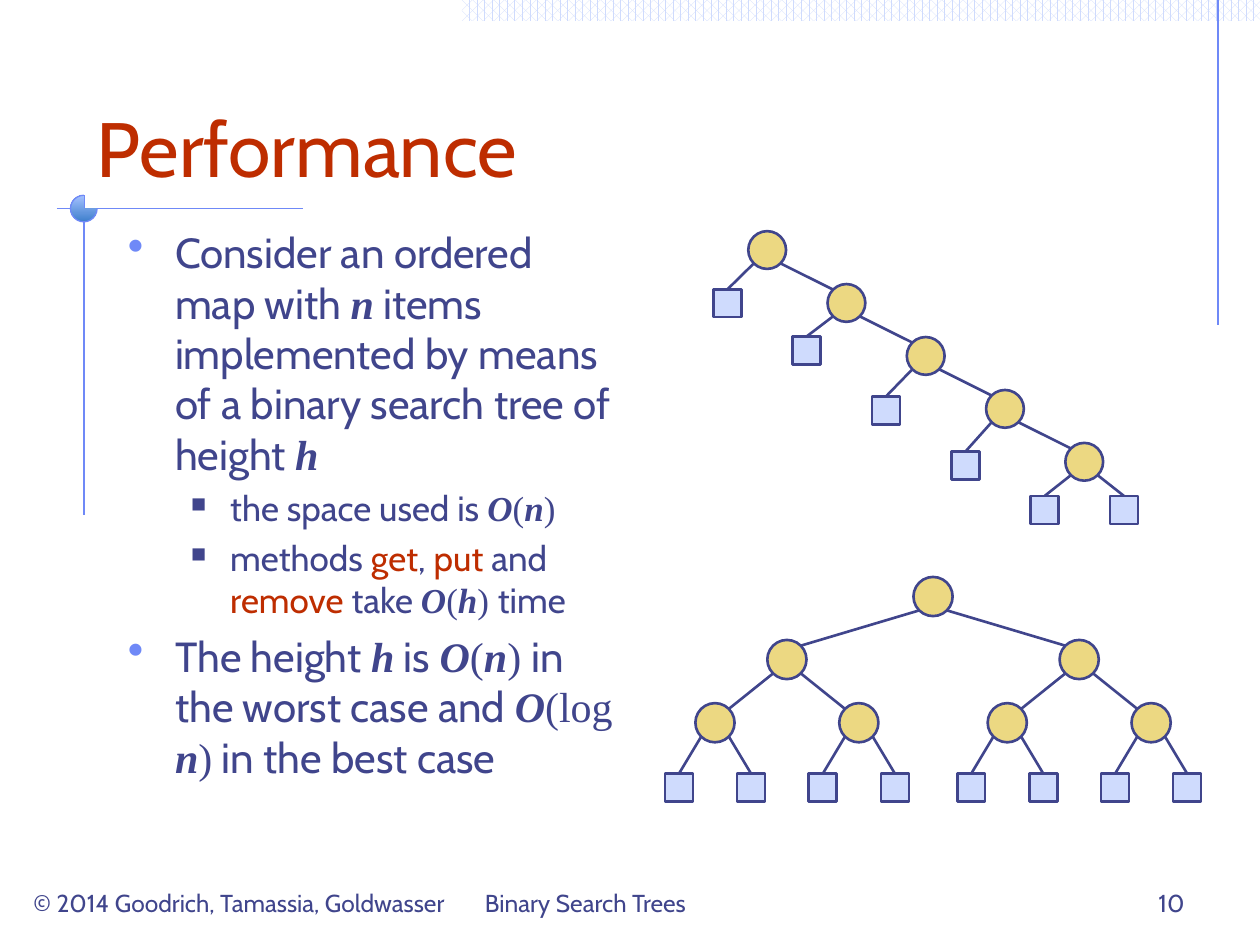
"""Build a slide on the performance of binary search trees, with two tree diagrams."""
import math

import lxml.etree
import pptx
import pptx.dml.color
import pptx.enum.dml
import pptx.enum.shapes
import pptx.enum.text
import pptx.oxml.ns
import pptx.util

Pt = pptx.util.Pt
SHAPE = pptx.enum.shapes.MSO_SHAPE
ALIGN = pptx.enum.text.PP_ALIGN
ANCHOR = pptx.enum.text.MSO_ANCHOR

COLORS = {"text": "40458C", "accent": "BE2D00", "rule": "6F89F7",
          "node": "ECD882", "leaf": "CFDBFD", "white": "FFFFFF"}
STYLES = {
    "plain": ("Cabin", False, "text"),
    "keyword": ("Cabin", False, "accent"),
    "math": ("Times New Roman", False, "text"),
    "var": ("Times New Roman", True, "text"),
}
LEVELS = [
    {"size": 24, "left": 27, "hang": 27, "char": "•", "color": "rule", "scale": 110},
    {"size": 20, "left": 58.5, "hang": 22.5, "char": "■", "color": "text", "scale": 60},
]
TITLE = "Performance"
BODY = [
    (0, [("Consider an ordered map with ", "plain"), ("n", "var"),
         (" items implemented by means of a binary search tree of height ", "plain"),
         ("h", "var")]),
    (1, [("the space used is ", "plain"), ("O", "var"), ("(", "math"),
         ("n", "var"), (")", "math")]),
    (1, [("methods ", "plain"), ("get", "keyword"), (", ", "plain"),
         ("put ", "keyword"), ("and ", "plain"), ("remove", "keyword"),
         (" take ", "plain"), ("O", "var"), ("(", "math"), ("h", "var"),
         (") ", "math"), ("time", "plain")]),
    (0, [("The height ", "plain"), ("h", "var"), (" is ", "plain"), ("O", "var"),
         ("(", "math"), ("n", "var"), (") ", "math"),
         ("in the worst case and ", "plain"), ("O", "var"), ("(log ", "math"),
         ("n", "var"), (")", "math"), (" in the best case", "plain")]),
]
FOOTERS = [
    ("© 2014 Goodrich, Tamassia, Goldwasser", 12, 270, ALIGN.LEFT),
    ("Binary Search Trees", 270, 228, ALIGN.LEFT),
    ("10", 516, 168, ALIGN.RIGHT),
]
RULES = [(696, 0, 696, 186), (32.5, 119.2, 173, 119.2), (48, 111.6, 48, 294.5)]

CHAIN = {"x": 438.4, "y": 142.9, "dx": 45.3, "dy": 30.25, "leaf_dx": 22.65,
         "leaf_y": [173.3, 200.2, 234.5, 266.1, 291.4], "radius": 10.8}
BALANCED = {"x": 533.2, "y": [340.9, 376.9, 413, 450.1],
            "dx": [83.5, 41.1, 20.6], "radius": 11.2}
LEAF = 16


def rgb(name):
    return pptx.dml.color.RGBColor.from_string(COLORS[name])


def add_line(s, ends, color, width):
    line = s.shapes.add_connector(pptx.enum.shapes.MSO_CONNECTOR.STRAIGHT, *map(Pt, ends))
    line.line.color.rgb = rgb(color)
    line.line.width = Pt(width)
    lxml.etree.SubElement(line._element.spPr, pptx.oxml.ns.qn("a:effectLst"))


def add_shape(s, kind, box, line, width):
    sp = s.shapes.add_shape(kind, *map(Pt, box))
    sp.shadow.inherit = False
    sp.line.color.rgb = rgb(line)
    sp.line.width = Pt(width)
    return sp


def add_text(s, box, anchor):
    tf = s.shapes.add_textbox(*map(Pt, box)).text_frame
    tf.word_wrap = True
    tf.vertical_anchor = anchor
    return tf


def style_run(r, size, style):
    font, strong, color = STYLES[style]
    r.font.name = font
    r.font.size = Pt(size)
    r.font.bold = r.font.italic = strong
    r.font.color.rgb = rgb(color)


def add_bullet(p, level):
    p.space_before = Pt(round(level["size"] * 0.23, 1))
    pPr = p._p.get_or_add_pPr()
    pPr.set("marL", str(Pt(level["left"])))
    pPr.set("indent", str(-Pt(level["hang"])))
    qn = pptx.oxml.ns.qn
    color = lxml.etree.SubElement(pPr, qn("a:buClr"))
    lxml.etree.SubElement(color, qn("a:srgbClr"), val=COLORS[level["color"]])
    lxml.etree.SubElement(pPr, qn("a:buSzPct"), val=str(level["scale"] * 1000))
    lxml.etree.SubElement(pPr, qn("a:buChar"), char=level["char"])


def add_decor(s):
    band = add_shape(s, SHAPE.RECTANGLE, (264, 0, 456, 12), "leaf", 0.75)
    band.line.fill.background()
    band.fill.patterned()
    band.fill.pattern = pptx.enum.dml.MSO_PATTERN.PERCENT_60
    band.fill.fore_color.rgb = rgb("leaf")
    band.fill.back_color.rgb = rgb("white")
    for ends in RULES:
        add_line(s, ends, "rule", 0.75)
    arc = add_shape(s, SHAPE.ARC, (40.3, 111.6, 15.2, 15.2), "rule", 0.75)
    arc.adjustments[0] = 0
    arc.adjustments[1] = 162


def add_title(s):
    sp = s.shapes.title
    sp.left, sp.top, sp.width, sp.height = map(Pt, (48, 24, 630, 90))
    tf = sp.text_frame
    tf.text = TITLE
    tf.auto_size = pptx.enum.text.MSO_AUTO_SIZE.NONE
    tf.vertical_anchor = ANCHOR.BOTTOM
    tf.paragraphs[0].alignment = ALIGN.LEFT
    style_run(tf.paragraphs[0].runs[0], 44, "keyword")


def add_body(s):
    tf = add_text(s, (66, 126, 294, 366), ANCHOR.TOP)
    for i, (depth, runs) in enumerate(BODY):
        p = tf.add_paragraph() if i else tf.paragraphs[0]
        p.level = depth
        add_bullet(p, LEVELS[depth])
        for text, style in runs:
            r = p.add_run()
            r.text = text
            style_run(r, LEVELS[depth]["size"], style)


def add_footers(s):
    for text, left, width, align in FOOTERS:
        tf = add_text(s, (left, 492, width, 36), ANCHOR.BOTTOM)
        tf.text = text
        tf.paragraphs[0].alignment = align
        style_run(tf.paragraphs[0].runs[0], 14, "plain")


def chain_tree(depth=0):
    x = CHAIN["x"] + depth * CHAIN["dx"]
    leaf_y = CHAIN["leaf_y"][depth]
    left = (x - CHAIN["leaf_dx"], leaf_y, [])
    if depth + 1 < len(CHAIN["leaf_y"]):
        right = chain_tree(depth + 1)
    else:
        right = (x + CHAIN["leaf_dx"], leaf_y, [])
    return x, CHAIN["y"] + depth * CHAIN["dy"], [left, right]


def balanced_tree(x, depth=0):
    children = []
    if depth < len(BALANCED["dx"]):
        dx = BALANCED["dx"][depth]
        children = [balanced_tree(x + side * dx, depth + 1) for side in (-1, 1)]
    return x, BALANCED["y"][depth], children


def draw_tree(s, tree, radius):
    x, y, children = tree
    corner = radius / math.sqrt(2)
    for child in children:
        cx, cy, grandchildren = child
        side = math.copysign(corner, cx - x)
        end = (cx - side, cy - corner) if grandchildren else (cx, cy - LEAF / 2)
        add_line(s, (x + side, y + corner, *end), "text", 1.5)
        draw_tree(s, child, radius)
    kind, fill, half = ((SHAPE.OVAL, "node", radius) if children
                        else (SHAPE.RECTANGLE, "leaf", LEAF / 2))
    sp = add_shape(s, kind, (x - half, y - half, 2 * half, 2 * half), "text", 1.5)
    sp.fill.solid()
    sp.fill.fore_color.rgb = rgb(fill)


def main():
    prs = pptx.Presentation()
    prs.slide_width, prs.slide_height = Pt(720), Pt(540)
    s = prs.slides.add_slide(prs.slide_layouts[5])
    add_decor(s)
    add_title(s)
    add_body(s)
    draw_tree(s, chain_tree(), CHAIN["radius"])
    draw_tree(s, balanced_tree(BALANCED["x"]), BALANCED["radius"])
    add_footers(s)
    prs.save("out.pptx")


if __name__ == "__main__":
    main()
